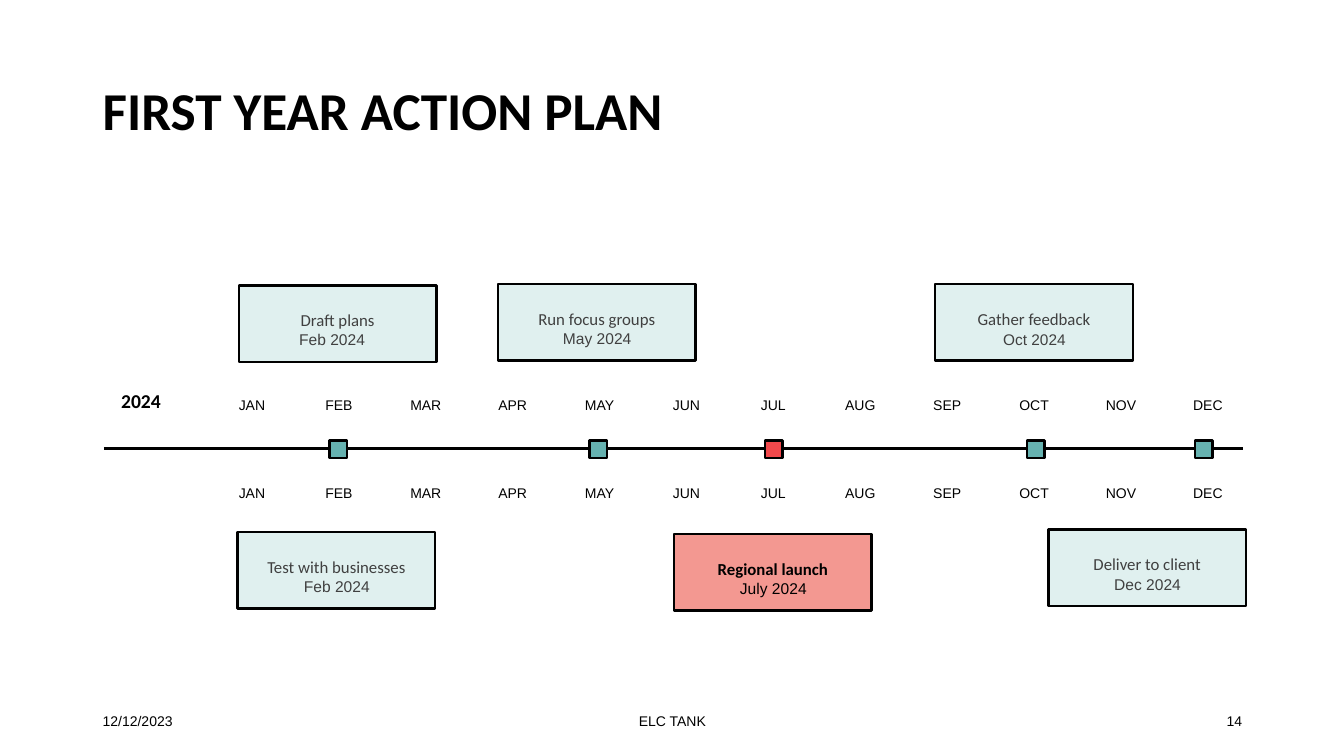
from lxml.etree import SubElement
from pptx import Presentation
from pptx.dml.color import RGBColor
from pptx.enum.shapes import MSO_CONNECTOR, MSO_SHAPE
from pptx.enum.text import MSO_ANCHOR, PP_ALIGN
from pptx.oxml.ns import qn
from pptx.util import Cm, Pt

BLACK, GREY = "000000", "404040"
PALE, TEAL, ROSE, RED = "E0F0EF", "66B2B0", "F39891", "F2494C"
MONTHS = "JAN FEB MAR APR MAY JUN JUL AUG SEP OCT NOV DEC".split()


def color(code):
    return RGBColor.from_string(code)


def apply_format(target, values):
    for name, value in values.items():
        setattr(target, name, value)


class TimelineSlide:
    """Holds the text style and the slide that is being drawn."""

    heading_font = "Calibri"
    body_font = "Arial"
    border = 1.75

    def __init__(self, presentation):
        self.slide = presentation.slides.add_slide(presentation.slide_layouts[6])

    def fill_text(self, shape, text, size, font=body_font, ink=BLACK, bold=False,
                  align=PP_ALIGN.CENTER, anchor=MSO_ANCHOR.TOP, spacing=0.9, before=10,
                  margins=(0.25, 0.13, 0.25, 0.13)):
        left, top, right, bottom = map(Cm, margins)
        frame = shape.text_frame
        apply_format(frame, {
            "word_wrap": True, "vertical_anchor": anchor,
            "margin_left": left, "margin_top": top,
            "margin_right": right, "margin_bottom": bottom})
        paragraph = frame.paragraphs[0]
        apply_format(paragraph, {
            "alignment": align, "line_spacing": spacing, "space_before": Pt(before)})
        run = paragraph.add_run()
        run.text = text
        apply_format(run.font, {"name": font, "size": Pt(size), "bold": bold})
        run.font.color.rgb = color(ink)

    def label(self, text, left, top, width, height, size, **style):
        box = self.slide.shapes.add_textbox(*map(Cm, (left, top, width, height)))
        self.fill_text(box, text, size, **style)

    def box(self, left, top, width, height, fill):
        shape = self.slide.shapes.add_shape(
            MSO_SHAPE.RECTANGLE, *map(Cm, (left, top, width, height)))
        shape.shadow.inherit = False
        shape.fill.solid()
        shape.fill.fore_color.rgb = color(fill)
        shape.line.color.rgb = color(BLACK)
        shape.line.width = Pt(self.border)
        return shape

    def axis(self, left, right, y):
        line = self.slide.shapes.add_connector(
            MSO_CONNECTOR.STRAIGHT, *map(Cm, (left, y, right, y)))
        line.line.color.rgb = color(BLACK)
        line.line.width = Pt(2)
        SubElement(line._element.spPr, qn("a:effectLst"))

    def month_row(self, top):
        for index, month in enumerate(MONTHS):
            self.label(month, 5.46 + 2.19 * index, top, 1.78, 0.76, 10)

    def marker(self, left, fill):
        self.box(left, 11.1, 0.44, 0.44, fill)

    def card(self, task, date, left, top, offset=(0.15, 1.14), size=11.1,
             spacing=0.7, launch=False):
        ink = BLACK if launch else GREY
        shape = self.box(left, top, 4.98, 1.93, ROSE if launch else PALE)
        self.fill_text(shape, task, 12, font=self.heading_font, ink=ink, bold=launch,
                       spacing=2, margins=(0.25, 0.1, 0.25, 0.13))
        self.label(date, left + offset[0], top + offset[1], 4.7, 0.64, size,
                   ink=ink, spacing=spacing)

    def footer(self, text, left, width, align):
        self.label(text, left, 17.65, width, 1.02, 10, align=align,
                   anchor=MSO_ANCHOR.MIDDLE, spacing=1, before=0)


def main():
    presentation = Presentation()
    apply_format(presentation, {"slide_width": Cm(33.87), "slide_height": Cm(19.05)})
    plan = TimelineSlide(presentation)
    heading = {"font": plan.heading_font, "bold": True, "anchor": MSO_ANCHOR.MIDDLE}

    # Axis and title
    plan.axis(2.62, 31.32, 11.3)
    plan.label("FIRST YEAR ACTION PLAN", 2.34, 1.02, 29.21, 3.68, 38,
               align=PP_ALIGN.LEFT, before=0, **heading)

    # Cards above the axis
    plan.card("Draft plans", "Feb 2024", 6.02, 7.19, offset=(0, 1.12))
    plan.card("Run focus groups", "May 2024", 12.55, 7.16)
    plan.card("Gather feedback", "Oct 2024", 23.57, 7.16, offset=(0.15, 1.07),
              size=11, spacing=0.9)

    # Year and months
    plan.label("2024", 2.54, 9.5, 2.03, 1.27, 14, **heading)
    for top in (9.91, 12.12):
        plan.month_row(top)

    # Milestones on the axis
    for left, fill in ((8.31, TEAL), (14.86, TEAL), (19.28, RED),
                       (25.88, TEAL), (30.12, TEAL)):
        plan.marker(left, fill)

    # Cards below the axis
    plan.card("Test with businesses", "Feb 2024", 5.99, 13.41)
    plan.card("Regional launch", "July 2024", 16.99, 13.46, launch=True)
    plan.card("Deliver to client", "Dec 2024", 26.42, 13.34)

    # Footer
    plan.footer("12/12/2023", 2.34, 7.62, PP_ALIGN.LEFT)
    plan.footer("ELC TANK", 11.23, 11.43, PP_ALIGN.CENTER)
    plan.footer("14", 23.93, 7.62, PP_ALIGN.RIGHT)

    presentation.save("out.pptx")


if __name__ == "__main__":
    main()
